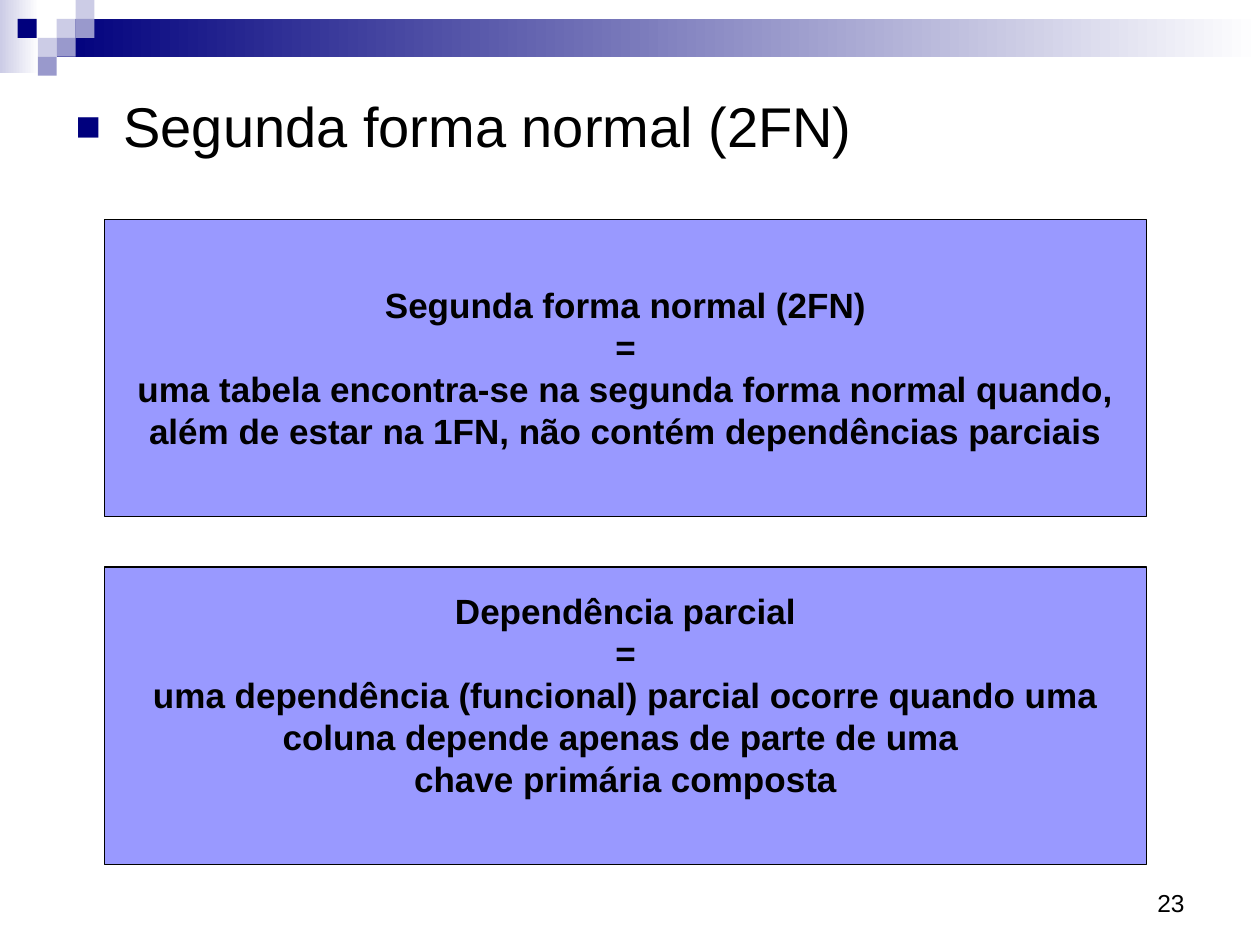
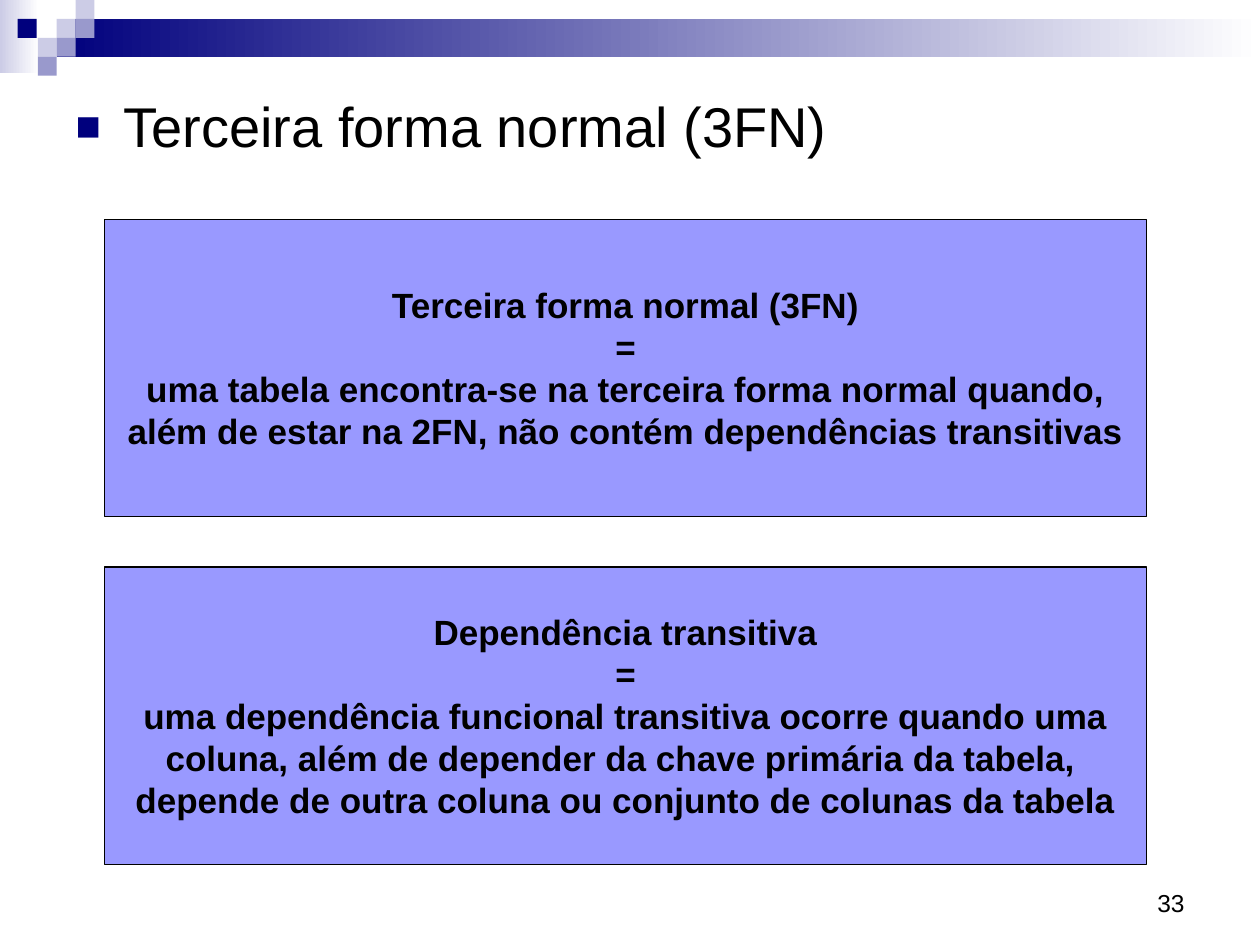
from dataclasses import dataclass
from lxml import etree
from pptx import Presentation
from pptx.dml.color import RGBColor as Rgb
from pptx.enum import shapes, text
from pptx.oxml.ns import qn
from pptx.util import Inches, Pt


@dataclass(frozen=True)
class Theme:
    font: str = "Arial"
    navy: str = "00007D"
    mid: str = "9999CC"
    pale: str = "CCCCE6"
    panel: str = "9999FF"
    white: str = "FFFFFF"
    black: str = "000000"
    title: int = 32
    body: int = 20
    line: int = 24
    page: int = 14


look = Theme()


def block(slide, left, top, width, height, *tones):
    """Add a plain rectangle; two tones make a gradient to the right."""
    rect = slide.shapes.add_shape(shapes.MSO_SHAPE.RECTANGLE, Inches(left),
                                  Inches(top), Inches(width), Inches(height))
    rect.shadow.inherit = False
    rect.line.fill.background()
    if len(tones) == 1:
        rect.fill.solid()
        rect.fill.fore_color.rgb = Rgb.from_string(tones[0])
    else:
        rect.fill.gradient()
        rect.fill.gradient_angle = 0
        for stop, tone in zip(rect.fill.gradient_stops, tones):
            stop.color.rgb = Rgb.from_string(tone)
    return rect


def style(para, size, align, bold=False):
    para.alignment = align
    para.font.name = look.font
    para.font.size = Pt(size)
    para.font.bold = bold
    para.font.color.rgb = Rgb.from_string(look.black)


# Small squares of the corner mosaic: left, top, tone
tiles = [(0.45, 0.15, look.pale), (0.6, 0, look.pale), (0.6, 0.15, look.mid),
         (0.3, 0.3, look.pale), (0.14, 0.15, look.navy),
         (0.45, 0.3, look.mid), (0.3, 0.45, look.mid)]
side = 0.15

# Content: title, page number, panels of (bottom inset, lines)
pages = [
    ("Segunda forma normal (2FN)", "23", [
        (0.05, ["Segunda forma normal (2FN)", "=",
                "uma tabela encontra-se na segunda forma normal quando,",
                "além de estar na 1FN, não contém dependências parciais"]),
        (0.38, ["Dependência parcial", "=",
                "uma dependência (funcional) parcial ocorre quando uma",
                "coluna depende apenas de parte de uma ",
                "chave primária composta"]),
    ]),
    ("Terceira forma normal (3FN)", "33", [
        (0.05, ["Terceira forma normal (3FN)", "=",
                "uma tabela encontra-se na terceira forma normal quando,",
                "além de estar na 2FN, não contém dependências transitivas"]),
        (0.05, ["Dependência transitiva", "=",
                "uma dependência funcional transitiva ocorre quando uma",
                "coluna, além de depender da chave primária da tabela, ",
                "depende de outra coluna ou conjunto de colunas da tabela"]),
    ]),
]

deck = Presentation()
deck.slide_width, deck.slide_height = Inches(10), Inches(7.5)

for head, number, panels in pages:
    slide = deck.slides.add_slide(deck.slide_layouts[5])

    # Top band and mosaic
    block(slide, 0, 0, 0.31, 0.58, look.pale, look.white)
    block(slide, 0.45, 0.15, 9.55, 0.3, look.navy, look.white)
    for left, top, tone in tiles:
        block(slide, left, top, side, side, tone)

    # Title with a square bullet
    title = slide.shapes.title
    title.left, title.top = Inches(0.5), Inches(0.68)
    title.width, title.height = Inches(9.19), Inches(0.94)
    frame = title.text_frame
    frame.text = head
    frame.auto_size = text.MSO_AUTO_SIZE.NONE
    frame.vertical_anchor = text.MSO_ANCHOR.TOP
    para = frame.paragraphs[0]
    style(para, look.title, text.PP_ALIGN.LEFT)
    props = para._p.get_or_add_pPr()
    props.set("marL", str(Inches(0.38)))
    props.set("indent", str(-Inches(0.38)))
    tint = etree.Element(qn("a:buClr"))
    etree.SubElement(tint, qn("a:srgbClr"), val=look.navy)
    marks = [tint, etree.Element(qn("a:buSzPct"), val="75000"),
             etree.Element(qn("a:buFont"), typeface=look.font),
             etree.Element(qn("a:buChar"), char="■")]
    for place, mark in enumerate(marks):
        props.insert(place, mark)
    para.space_before = Pt(8)

    # Definition panels
    for row, (inset, lines) in enumerate(panels):
        panel = block(slide, 0.83, 1.74 + row * 2.76, 8.27, 2.36, look.panel)
        panel.line.color.rgb = Rgb.from_string(look.black)
        panel.line.width = Pt(0.75)
        frame = panel.text_frame
        frame.text = "\n".join(lines)
        frame.word_wrap = False
        frame.vertical_anchor = text.MSO_ANCHOR.MIDDLE
        frame.margin_bottom = Inches(inset)
        for para in frame.paragraphs:
            style(para, look.body, text.PP_ALIGN.CENTER, bold=True)
            para.line_spacing = Pt(look.line)

    # Page number
    foot = slide.shapes.add_textbox(Inches(7.17), Inches(6.83),
                                    Inches(2.33), Inches(0.5))
    foot.text_frame.text = number
    foot.text_frame.word_wrap = True
    foot.text_frame.vertical_anchor = text.MSO_ANCHOR.BOTTOM
    style(foot.text_frame.paragraphs[0], look.page, text.PP_ALIGN.RIGHT)

deck.save("out.pptx")
